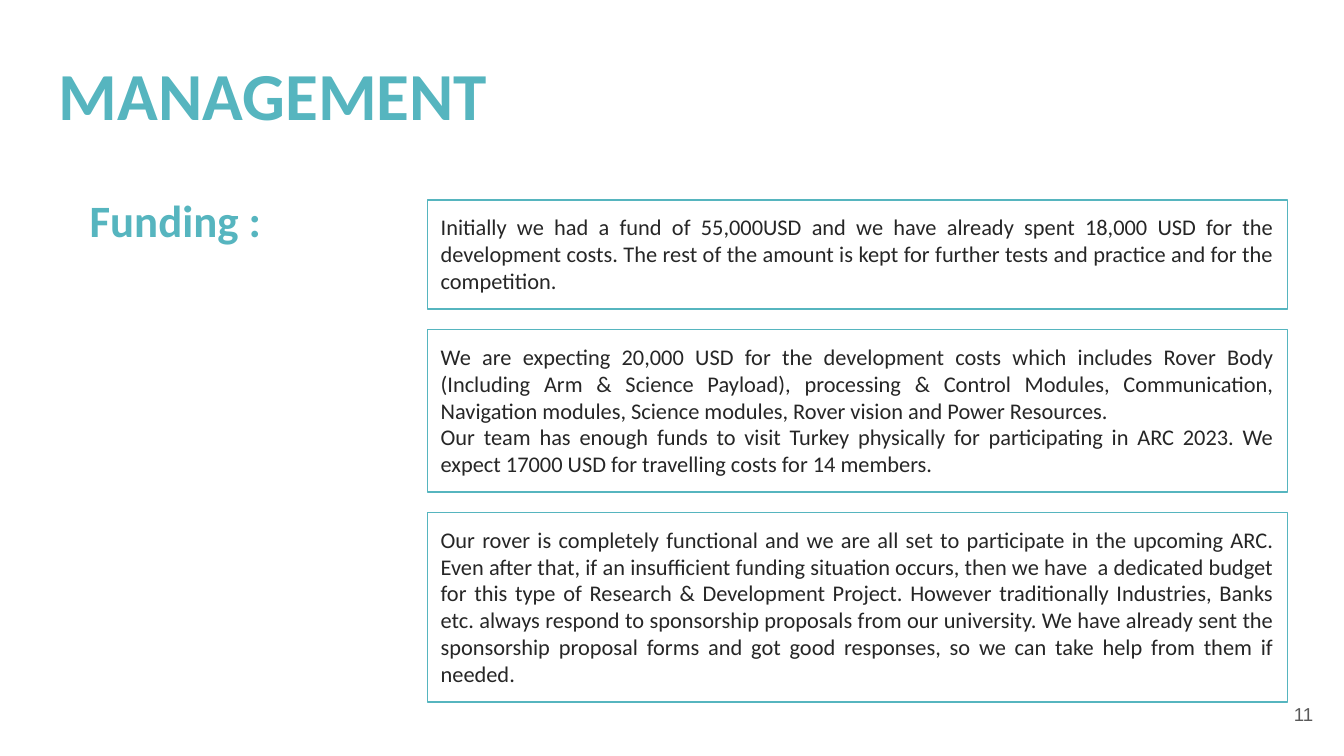
from pptx import Presentation
from pptx.dml.color import RGBColor
from pptx.enum.shapes import MSO_SHAPE
from pptx.enum.text import MSO_ANCHOR, MSO_AUTO_SIZE, PP_ALIGN
from pptx.util import Pt

TEAL = RGBColor(0x56, 0xB5, 0xBF)
DARK = RGBColor(0x26, 0x26, 0x26)
GRAY = RGBColor(0x59, 0x59, 0x59)

RECT = MSO_SHAPE.RECTANGLE
TOP, MIDDLE, BOTTOM = MSO_ANCHOR.TOP, MSO_ANCHOR.MIDDLE, MSO_ANCHOR.BOTTOM
LEFT, RIGHT, JUSTIFY = PP_ALIGN.LEFT, PP_ALIGN.RIGHT, PP_ALIGN.JUSTIFY
NO_FIT = MSO_AUTO_SIZE.NONE

INSET = 7.2
BOX_LEFT, BOX_TOP, BOX_WIDTH, BOX_GAP = 229, 107.2, 460.8, 11

# Height and paragraphs of each funding box
FUNDING = [
    (58.3, [
        "Initially we had a fund of 55,000USD and we have already spent 18,000 USD "
        "for the development costs. The rest of the amount is kept for further tests "
        "and practice and for the competition."]),
    (87, [
        "We are expecting 20,000 USD for the development costs which includes Rover "
        "Body (Including Arm & Science Payload), processing & Control Modules, "
        "Communication, Navigation modules, Science modules, Rover vision and Power "
        "Resources.",
        "Our team has enough funds to visit Turkey physically for participating in "
        "ARC 2023. We expect 17000 USD for travelling costs for 14 members."]),
    (101.5, [
        "Our rover is completely functional and we are all set to participate in the "
        "upcoming ARC. Even after that, if an insufficient funding situation occurs, "
        "then we have  a dedicated budget for this type of Research & Development "
        "Project. However traditionally Industries, Banks etc. always respond to "
        "sponsorship proposals from our university. We have already sent the "
        "sponsorship proposal forms and got good responses, so we can take help from "
        "them if needed."]),
]


def write(tf, paragraphs, size=12, color=DARK, bold=False, font="Calibri",
          align=LEFT, anchor=TOP):
    tf.word_wrap = True
    tf.auto_size = NO_FIT
    tf.vertical_anchor = anchor
    tf.margin_left = tf.margin_right = tf.margin_top = tf.margin_bottom = Pt(INSET)
    for i, text in enumerate(paragraphs):
        p = tf.add_paragraph() if i else tf.paragraphs[0]
        p.alignment = align
        r = p.add_run()
        r.text = text
        r.font.name = font
        r.font.size = Pt(size)
        r.font.bold = bold
        r.font.color.rgb = color


class Deck:
    def __init__(self, width, height):
        self.prs = Presentation()
        self.prs.slide_width, self.prs.slide_height = Pt(width), Pt(height)
        self.s = None

    def add_slide(self):
        self.s = self.prs.slides.add_slide(self.prs.slide_layouts[6])

    def label(self, text, x, y, w, h, **fmt):
        sp = self.s.shapes.add_textbox(Pt(x), Pt(y), Pt(w), Pt(h))
        write(sp.text_frame, [text], **fmt)

    def box(self, paragraphs, x, y, w, h, **fmt):
        sp = self.s.shapes.add_shape(RECT, Pt(x), Pt(y), Pt(w), Pt(h))
        sp.shadow.inherit = False
        sp.fill.background()
        sp.line.color.rgb = TEAL
        sp.line.width = Pt(0.75)
        write(sp.text_frame, paragraphs, **fmt)


def main():
    deck = Deck(720, 405)
    deck.add_slide()

    # Headings
    deck.label("MANAGEMENT", 24.5, 29.5, 255.6, 49.7,
               size=36, color=TEAL, bold=True, anchor=BOTTOM)
    deck.label("Funding :", 41, 95.8, 158.4, 43.9, size=24, color=TEAL, bold=True)

    # Funding boxes, stacked with equal gaps
    y = BOX_TOP
    for height, paragraphs in FUNDING:
        deck.box(paragraphs, BOX_LEFT, y, BOX_WIDTH, height, align=JUSTIFY)
        y += height + BOX_GAP

    # Page number
    deck.label("11", 667.4, 367.2, 43.2, 31, size=10, color=GRAY, font="Arial",
               align=RIGHT, anchor=MIDDLE)

    deck.prs.save("out.pptx")


if __name__ == "__main__":
    main()
